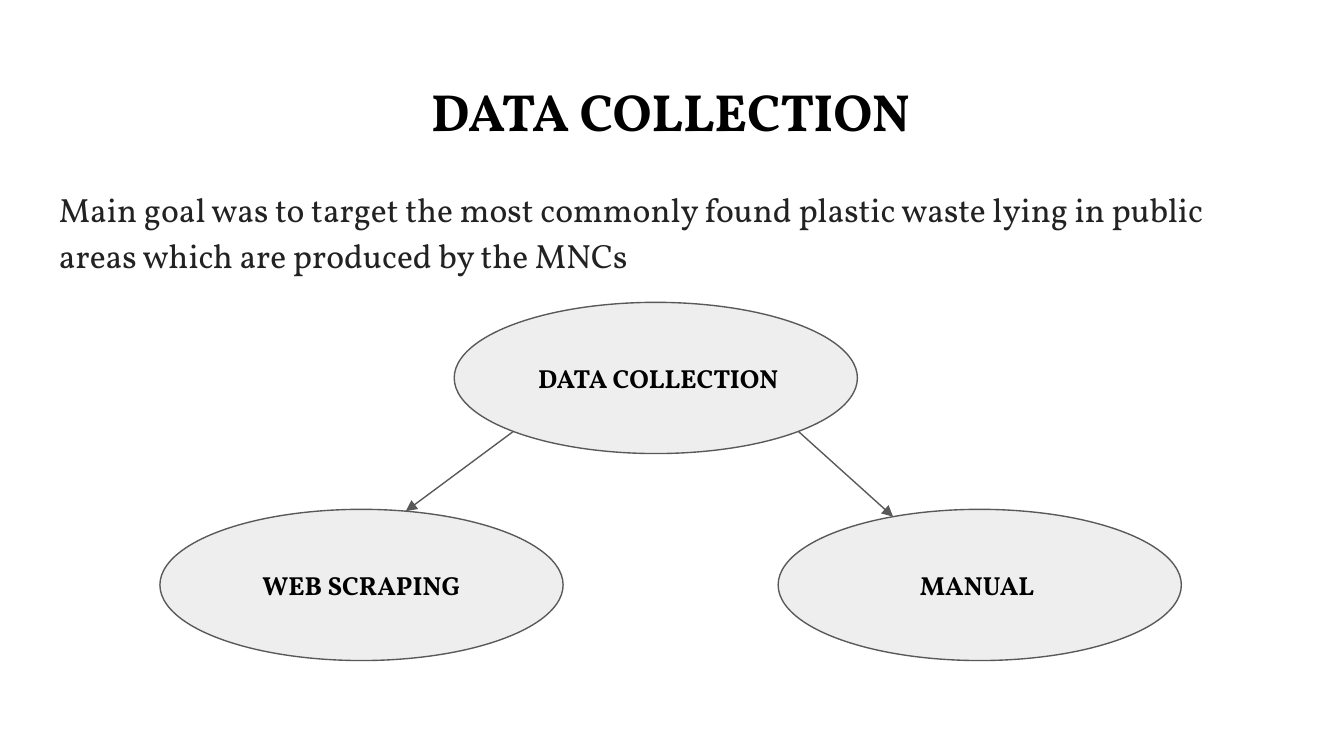
from dataclasses import dataclass
from math import sqrt

from lxml import etree
from pptx import Presentation
from pptx.dml.color import RGBColor
from pptx.enum.shapes import MSO_CONNECTOR, MSO_SHAPE
from pptx.enum.text import MSO_ANCHOR, MSO_AUTO_SIZE, PP_ALIGN
from pptx.oxml.ns import qn
from pptx.util import Inches, Pt

LEFT, CENTER = PP_ALIGN.LEFT, PP_ALIGN.CENTER
TOP, MIDDLE = MSO_ANCHOR.TOP, MSO_ANCHOR.MIDDLE
NO_FIT = MSO_AUTO_SIZE.NONE
OVAL, STRAIGHT = MSO_SHAPE.OVAL, MSO_CONNECTOR.STRAIGHT
TITLE_ONLY = 5

WIDTH = 10
HEIGHT = WIDTH * 9 / 16
NODE_W, NODE_H = WIDTH * 0.3, HEIGHT * 0.2
ROWS = (HEIGHT * 0.4, 3.79)
DIAG = sqrt(0.5)  # share of the radius at a 45 degree point


@dataclass(frozen=True)
class Theme:
    font: str = "Vollkorn"
    ink: str = "000000"
    body: str = "222222"
    fill: str = "EEEEEE"
    edge: str = "595959"
    title_size: float = 28
    body_size: float = 18
    node_size: float = 14
    stroke: float = 0.75


THEME = Theme()


def color(code):
    return RGBColor.from_string(code)


def apply(target, values):
    for name, value in values.items():
        setattr(target, name, value)


def place(shape, left, top, width, height):
    apply(shape, {"left": Inches(left), "top": Inches(top),
                  "width": Inches(width), "height": Inches(height)})


def write(shape, text, size, ink, bold=False, align=CENTER, anchor=TOP, **layout):
    frame = shape.text_frame
    inset = Inches(0.1)
    apply(frame, {"word_wrap": True, "auto_size": NO_FIT, "vertical_anchor": anchor,
                  "margin_left": inset, "margin_right": inset,
                  "margin_top": inset, "margin_bottom": inset})
    para = frame.paragraphs[0]
    apply(para, {"alignment": align, **layout})
    run = para.add_run()
    run.text = text
    apply(run.font, {"name": THEME.font, "size": Pt(size), "bold": bold})
    run.font.color.rgb = color(ink)


def stroke(line):
    line.color.rgb = color(THEME.edge)
    line.width = Pt(THEME.stroke)


def add_node(slide, text, left, top):
    node = slide.shapes.add_shape(OVAL, 0, 0, 0, 0)
    place(node, left, top, NODE_W, NODE_H)
    node.shadow.inherit = False
    node.fill.solid()
    node.fill.fore_color.rgb = color(THEME.fill)
    stroke(node.line)
    write(node, text, THEME.node_size, THEME.ink, bold=True, anchor=MIDDLE)
    return node


def rim(node, share, side):
    """Point on the oval's edge at a share of its half width; side is -1 above, 1 below."""
    half_w, half_h = node.width / 2, node.height / 2
    return (round(node.left + half_w * (1 + share)),
            round(node.top + half_h * (1 + side * sqrt(1 - share ** 2))))


def add_arrow(slide, start, end):
    arrow = slide.shapes.add_connector(STRAIGHT, *start, *end)
    stroke(arrow.line)
    etree.SubElement(arrow.line._get_or_add_ln(), qn("a:tailEnd"), type="triangle")
    etree.SubElement(arrow._element.spPr, qn("a:effectLst"))


def main():
    deck = Presentation()
    deck.slide_width, deck.slide_height = Inches(WIDTH), Inches(HEIGHT)
    slide = deck.slides.add_slide(deck.slide_layouts[TITLE_ONLY])

    title = slide.shapes.title
    place(title, 0.33, 0.49, 9.32, 0.63)
    write(title, "DATA COLLECTION", THEME.title_size, THEME.ink, bold=True)

    goal = slide.shapes.add_textbox(0, 0, 0, 0)
    place(goal, 0.34, 1.26, 9.32, 3.93)
    write(goal, "Main goal was to target the most commonly found plastic waste "
                "lying in public areas which are produced by the MNCs",
          THEME.body_size, THEME.body, align=LEFT,
          line_spacing=1.15, space_after=Pt(16))

    root = add_node(slide, " DATA COLLECTION", 3.38, ROWS[0])
    branches = (("WEB SCRAPING", 1.19, -DIAG, 0.22),
                ("MANUAL ", 5.79, DIAG, -0.43))
    for text, left, start, end in branches:
        leaf = add_node(slide, text, left, ROWS[1])
        add_arrow(slide, rim(root, start, 1), rim(leaf, end, -1))

    deck.save("out.pptx")


if __name__ == "__main__":
    main()
